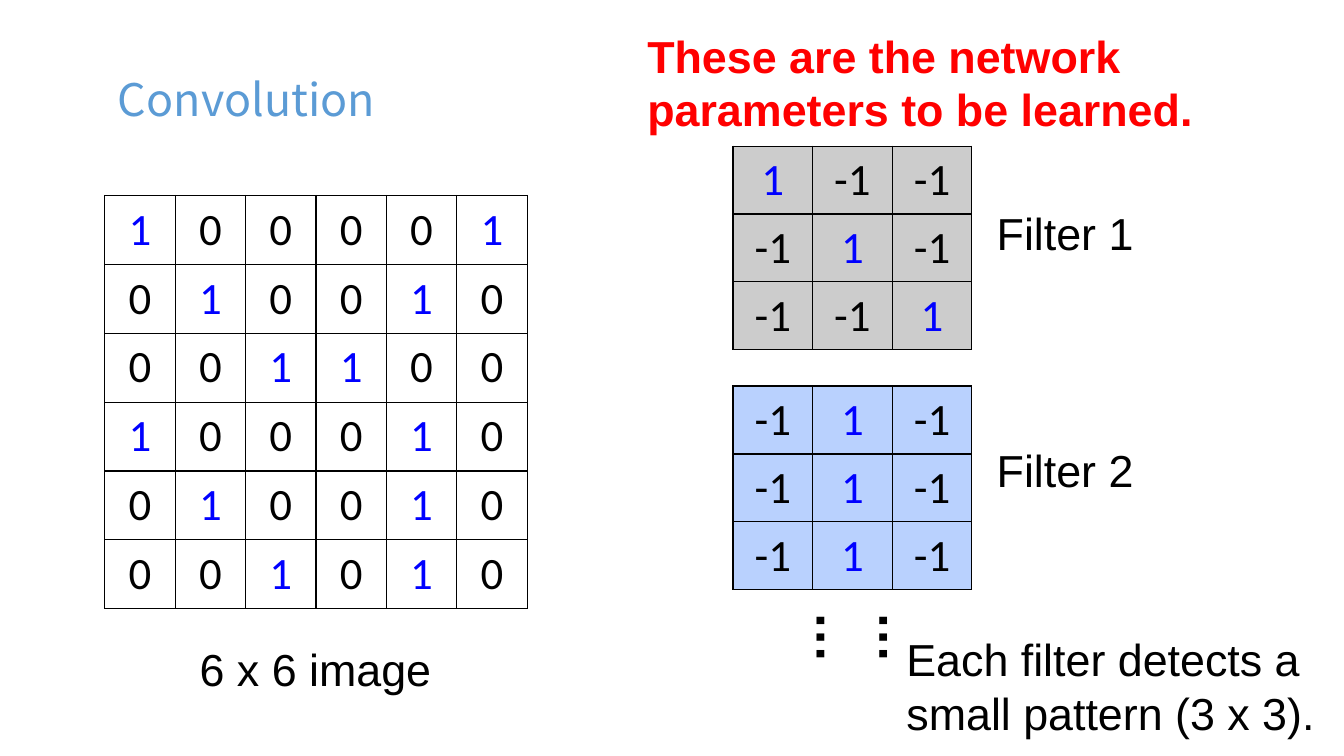
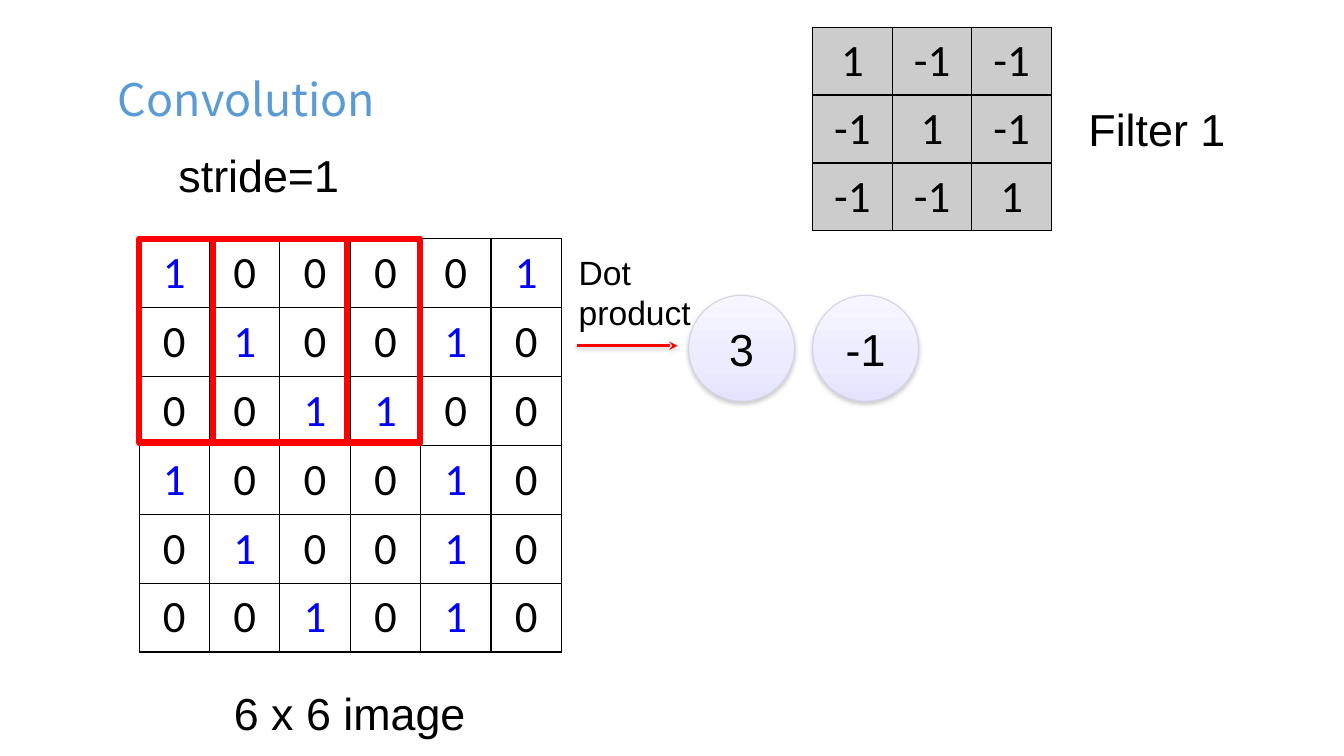
from dataclasses import dataclass
from copy import deepcopy

from pptx import Presentation
from pptx.dml.color import RGBColor
from pptx.enum.shapes import MSO_CONNECTOR, MSO_SHAPE
from pptx.enum.text import MSO_ANCHOR, MSO_AUTO_SIZE, PP_ALIGN
from pptx.oxml import parse_xml
from pptx.oxml.ns import nsdecls, qn
from pptx.util import Inches, Pt


# Shared look
@dataclass(frozen=True)
class Theme:
    title_color: str = "5B9BD5"
    text: str = "000000"
    one: str = "0000FF"
    accent: str = "FF0000"
    gray: str = "CCCCCC"
    blue: str = "B9D1FE"
    disc_line: str = "D4D3E7"
    disc_stops: tuple = ((0, "F7F6FF"), (0.65, "ECEBFF"), (1, "E5E3FF"))
    title_font: str = "Noto Sans CJK TC"
    body_font: str = "Arial"
    cell_font: str = "Calibri"
    large: float = 32
    dots: float = 37.3
    small: float = 24


THEME = Theme()

# Matrix values
IMAGE = ((1, 0, 0, 0, 0, 1),
         (0, 1, 0, 0, 1, 0),
         (0, 0, 1, 1, 0, 0),
         (1, 0, 0, 0, 1, 0),
         (0, 1, 0, 0, 1, 0),
         (0, 0, 1, 0, 1, 0))
DIAGONAL = ((1, -1, -1), (-1, 1, -1), (-1, -1, 1))
VERTICAL = ((-1, 1, -1),) * 3
IMAGE_WIDTH, FILTER_WIDTH = 4.19, 2.37
ROW_HEIGHT = 0.67


def rgb(color):
    return RGBColor.from_string(color)


def set_margins(frame, side=0.13, top=0.07):
    frame.margin_left = frame.margin_right = Inches(side)
    frame.margin_top = frame.margin_bottom = Inches(top)


def write(frame, text, size=THEME.large, font=THEME.body_font,
          color=THEME.text, bold=False, align=PP_ALIGN.LEFT):
    frame.text = text
    for paragraph in frame.paragraphs:
        paragraph.alignment = align
        for run in paragraph.runs:
            run.font.size = Pt(size)
            run.font.name = font
            run.font.bold = bold
            run.font.color.rgb = rgb(color)


# Slide and text
def add_titled_slide(deck, title):
    slide = deck.slides.add_slide(deck.slide_layouts[5])
    heading = slide.shapes.title
    heading.left, heading.top = Inches(1.04), Inches(0.56)
    heading.width, heading.height = Inches(12.19), Inches(0.84)
    frame = heading.text_frame
    set_margins(frame, top=0.13)
    frame.vertical_anchor = MSO_ANCHOR.MIDDLE
    write(frame, title, font=THEME.title_font, color=THEME.title_color)
    return slide


def add_label(slide, text, left, top, width, height=0.67, **style):
    label = slide.shapes.add_textbox(
        Inches(left), Inches(top), Inches(width), Inches(height))
    frame = label.text_frame
    frame.word_wrap = True
    frame.auto_size = MSO_AUTO_SIZE.SHAPE_TO_FIT_TEXT
    set_margins(frame)
    write(frame, text, **style)
    return label


# Matrices
def add_borders(cell):
    properties = cell._tc.get_or_add_tcPr()
    for position, side in enumerate(("lnL", "lnR", "lnT", "lnB")):
        properties.insert(position, parse_xml(
            f'<a:{side} {nsdecls("a")} w="12700"><a:solidFill>'
            f'<a:srgbClr val="{THEME.text}"/></a:solidFill></a:{side}>'))


def add_matrix(slide, values, left, top, width, fill=None, mark_ones=True):
    rows, columns = len(values), len(values[0])
    matrix = slide.shapes.add_table(
        rows, columns, Inches(left), Inches(top),
        Inches(width), Inches(rows * ROW_HEIGHT)).table
    matrix.first_row = matrix.horz_banding = False
    for r, row in enumerate(values):
        for c, value in enumerate(row):
            cell = matrix.cell(r, c)
            set_margins(cell)
            color = THEME.one if mark_ones and value == 1 else THEME.text
            write(cell.text_frame, str(value), font=THEME.cell_font,
                  color=color, align=PP_ALIGN.CENTER)
            if fill:
                cell.fill.solid()
                cell.fill.fore_color.rgb = rgb(fill)
            else:
                cell.fill.background()
            add_borders(cell)


def add_image_matrix(slide, left, top):
    add_matrix(slide, IMAGE, left, top, IMAGE_WIDTH)
    add_label(slide, "6 x 6 image", left + 0.38, top + 4.36, 3.42,
              align=PP_ALIGN.CENTER)


def add_filter(slide, name, values, left, top, label_at, fill, mark_ones=True):
    add_matrix(slide, values, left, top, FILTER_WIDTH, fill, mark_ones)
    add_label(slide, name, *label_at, 2.11, align=PP_ALIGN.CENTER)


# Drawing parts
def add_soft_shadow(part):
    properties = part.element.spPr
    effects = properties.find(qn("a:effectLst"))
    if effects is None:
        effects = parse_xml(f'<a:effectLst {nsdecls("a")}/>')
        properties.append(effects)
    effects.append(parse_xml(
        f'<a:outerShdw {nsdecls("a")} blurRad="{Pt(3.1)}" dist="{Pt(1.6)}" '
        'dir="5400000" rotWithShape="0"><a:srgbClr val="808080">'
        '<a:alpha val="38000"/></a:srgbClr></a:outerShdw>'))


def add_outlined(slide, kind, left, top, width, height, color, weight):
    shape = slide.shapes.add_shape(
        kind, Inches(left), Inches(top), Inches(width), Inches(height))
    shape.fill.background()
    shape.line.color.rgb = rgb(color)
    shape.line.width = Pt(weight)
    shape.shadow.inherit = False
    return shape


def add_window(slide, left, top):
    add_outlined(slide, MSO_SHAPE.RECTANGLE, left, top, 2.06, 2.02,
                 THEME.accent, 4.5)


def add_result(slide, value, left):
    disc = add_outlined(slide, MSO_SHAPE.OVAL, left, 2.93, 1.05, 1.05,
                        THEME.disc_line, 0.75)
    disc.fill.gradient()
    disc.fill.gradient_angle = 270
    stop_list = disc.element.spPr.find(".//" + qn("a:gsLst"))
    stop_list.append(deepcopy(stop_list[-1]))
    for stop, (position, color) in zip(disc.fill.gradient_stops,
                                       THEME.disc_stops):
        stop.position = position
        stop.color.rgb = rgb(color)
    add_soft_shadow(disc)
    set_margins(disc.text_frame)
    disc.text_frame.vertical_anchor = MSO_ANCHOR.MIDDLE
    write(disc.text_frame, value, align=PP_ALIGN.CENTER)


def add_arrow(slide, start, end, y):
    arrow = slide.shapes.add_connector(
        MSO_CONNECTOR.STRAIGHT, Inches(start), Inches(y), Inches(end), Inches(y))
    arrow.line.color.rgb = rgb(THEME.accent)
    arrow.line.width = Pt(2)
    arrow.line._get_or_add_ln().append(
        parse_xml(f'<a:tailEnd {nsdecls("a")} type="stealth"/>'))
    add_soft_shadow(arrow)


# Slides
def build_filters_slide(deck):
    slide = add_titled_slide(deck, "Convolution")
    add_image_matrix(slide, 1.04, 1.94)
    add_filter(slide, "Filter 1", DIAGONAL, 7.27, 1.45, (9.51, 1.97), THEME.gray)
    add_filter(slide, "Filter 2", VERTICAL, 7.27, 3.83, (9.51, 4.32), THEME.blue)
    more_filters = add_label(slide, "……", 8.1, 5.76, 1.03, 1.39,
                             size=THEME.dots, bold=True)
    more_filters.rotation = 90
    add_label(slide, "These are the network parameters to be learned.",
              6.29, 0.21, 5.78, 1.21, color=THEME.accent, bold=True)
    add_label(slide, "Each filter detects a small pattern (3 x 3).",
              8.86, 6.2, 4.4, 1.21)


def build_stride_slide(deck):
    image_left, image_top = 1.38, 2.37
    slide = add_titled_slide(deck, "Convolution")
    add_image_matrix(slide, image_left, image_top)
    add_filter(slide, "Filter 1", DIAGONAL, 8.06, 0.27, (10.42, 0.94),
               THEME.gray, mark_ones=False)
    for shift in (0, 0.73):
        add_window(slide, image_left + shift, image_top)
    for value, left in (("3", 6.83), ("-1", 8.06)):
        add_result(slide, value, left)
    add_label(slide, "stride=1", 1.64, 1.4, 2.07)
    add_arrow(slide, 5.72, 6.72, 3.43)
    add_label(slide, "Dot\nproduct", 5.61, 2.43, 1.39, 0.94, size=THEME.small)


def main():
    deck = Presentation()
    deck.slide_width, deck.slide_height = Inches(13.33), Inches(7.5)
    build_filters_slide(deck)
    build_stride_slide(deck)
    deck.save("out.pptx")


if __name__ == "__main__":
    main()
